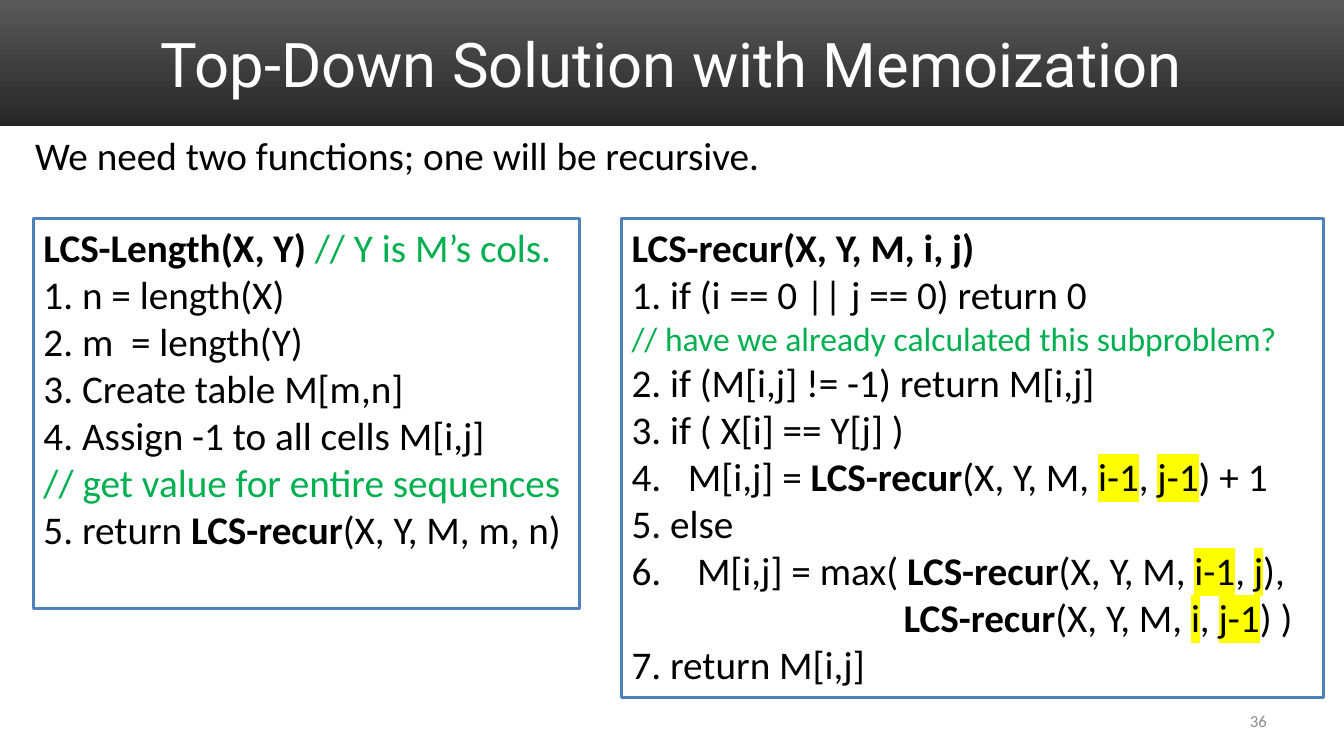
from dataclasses import dataclass

from lxml import etree
from pptx import Presentation
from pptx import util as u
from pptx.dml.color import RGBColor
from pptx.enum import shapes, text
from pptx.oxml.ns import qn

# The slide is a grid of 160 columns by 90 rows
CELL = u.Inches(1) // 12
COLUMNS, ROWS = 160, 90


@dataclass(frozen=True)
class Theme:
    heading_font: str = "Roboto"
    body_font: str = "Calibri"
    title_size: int = 44
    body_size: int = 28
    remark_size: int = 24
    number_size: int = 12
    white: str = "FFFFFF"
    ink: str = "000000"
    remark: str = "00B050"
    mark: str = "FFFF00"
    muted: str = "8C8C8C"
    border: str = "4F81BD"
    banner_top: str = "595959"
    banner_bottom: str = "262626"


THEME = Theme()


def color(value):
    return RGBColor.from_string(value)


def grid(box):
    return [round(part * CELL) for part in box]


def style(run, size=THEME.body_size, ink=THEME.ink, font=THEME.body_font,
          bold=False, mark=False):
    run.font.size = u.Pt(size)
    run.font.name = font
    run.font.bold = bold
    run.font.color.rgb = color(ink)
    if mark:
        highlight = etree.Element(qn("a:highlight"))
        etree.SubElement(highlight, qn("a:srgbClr"), val=THEME.mark)
        run._r.rPr.find(qn("a:solidFill")).addnext(highlight)


def indent(paragraph, left, hanging=0, start=None):
    """Indent in inches; start turns on automatic numbering."""
    properties = paragraph._p.get_or_add_pPr()
    properties.set("marL", str(u.Inches(left)))
    properties.set("indent", str(-u.Inches(hanging)))
    if start:
        etree.SubElement(properties, qn("a:buFont"), typeface="+mj-lt")
        etree.SubElement(properties, qn("a:buAutoNum"),
                         type="arabicPeriod", startAt=str(start))


def add_rectangle(slide, box):
    shape = slide.shapes.add_shape(shapes.MSO_SHAPE.RECTANGLE, *grid(box))
    shape.shadow.inherit = False
    return shape


def add_label(slide, box, words, align, anchor=text.MSO_ANCHOR.MIDDLE,
              wrap=True, **look):
    frame = slide.shapes.add_textbox(*grid(box)).text_frame
    frame.word_wrap = wrap
    frame.vertical_anchor = anchor
    frame.text = words
    paragraph = frame.paragraphs[0]
    paragraph.alignment = align
    style(paragraph.runs[0], **look)


# Title banner
def add_banner(slide, box, title):
    left, top, width, height = box
    banner = add_rectangle(slide, box)
    banner.line.fill.background()
    banner.fill.gradient()
    banner.fill.gradient_angle = 270
    ends = (THEME.banner_top, THEME.banner_bottom)
    for position, (stop, shade) in enumerate(zip(banner.fill.gradient_stops, ends)):
        stop.position = position
        stop.color.rgb = color(shade)
    add_label(slide, (left + 8, top + 2, width - 16, height - 4), title,
              text.PP_ALIGN.CENTER, size=THEME.title_size,
              ink=THEME.white, font=THEME.heading_font)


# Framed pseudocode: each line is its runs and an optional indent
def add_code(slide, box, lines):
    frame_shape = add_rectangle(slide, box)
    frame_shape.fill.background()
    frame_shape.line.color.rgb = color(THEME.border)
    frame_shape.line.width = u.Pt(2)
    frame = frame_shape.text_frame
    frame.word_wrap = True
    frame.vertical_anchor = text.MSO_ANCHOR.TOP
    for index, (runs, layout) in enumerate(lines):
        paragraph = frame.add_paragraph() if index else frame.paragraphs[0]
        paragraph.alignment = text.PP_ALIGN.LEFT
        if layout:
            indent(paragraph, **layout)
        for words, look in runs:
            run = paragraph.add_run()
            run.text = words
            style(run, **look)


def plain(words):
    return words, {}


def bold(words):
    return words, {"bold": True}


def remark(words, size=THEME.body_size):
    return words, {"ink": THEME.remark, "size": size}


def line(*runs, **layout):
    return runs, layout


def recursive_call(row, column, ending):
    return (bold("LCS-recur"), plain("(X, Y, M, "), (row, {"mark": True}),
            plain(", "), (column, {"mark": True}), plain(ending))


LENGTH_CODE = [
    line(bold("LCS-Length(X, Y)"), remark(" // Y is M’s cols.")),
    line(plain("1. n = length(X)")),
    line(plain("2. m  = length(Y)")),
    line(plain("3. Create table M[m,n]")),
    line(plain("4. Assign -1 to all cells M[i,j]")),
    line(remark("// get value for entire sequences")),
    line(plain("5. return "), bold("LCS-recur"), plain("(X, Y, M, m, n)")),
]

RECURSIVE_CODE = [
    line(bold("LCS-recur(X, Y, M, i, j)")),
    line(plain("1. if (i == 0 || j == 0) return 0")),
    line(remark("// have we already calculated this subproblem?", THEME.remark_size)),
    line(plain("2. if (M[i,j] != -1) return M[i,j]")),
    line(plain("3. if ( X[i] == Y[j] )")),
    line(plain("M[i,j] = "), *recursive_call("i-1", "j-1", ") + 1"),
         left=0.56, hanging=0.56, start=4),
    line(plain("5. else")),
    line(plain("6.\tM[i,j] = max( "), *recursive_call("i-1", "j", "),"),
         left=0.65, hanging=0.65),
    line(*recursive_call("i", "j-1", ") )"), left=2.7),
    line(plain("7. return M[i,j]")),
]


def add_memoization_slide(presentation):
    slide = presentation.slides.add_slide(presentation.slide_layouts[6])
    add_banner(slide, (0, 0, COLUMNS, 15), "Top-Down Solution with Memoization")
    add_label(slide, (114.7, 83.4, 37.3, 4.8), "36", text.PP_ALIGN.RIGHT,
              size=THEME.number_size, ink=THEME.muted)
    add_code(slide, (4, 26, 65, 46.4), LENGTH_CODE)
    add_code(slide, (74, 26, 83.6, 57), RECURSIVE_CODE)
    add_label(slide, (3, 15, 89.6, 6.8),
              "We need two functions; one will be recursive.",
              text.PP_ALIGN.LEFT, anchor=text.MSO_ANCHOR.TOP, wrap=False)


def main():
    presentation = Presentation()
    presentation.slide_width = COLUMNS * CELL
    presentation.slide_height = ROWS * CELL
    add_memoization_slide(presentation)
    presentation.save("out.pptx")


if __name__ == "__main__":
    main()
